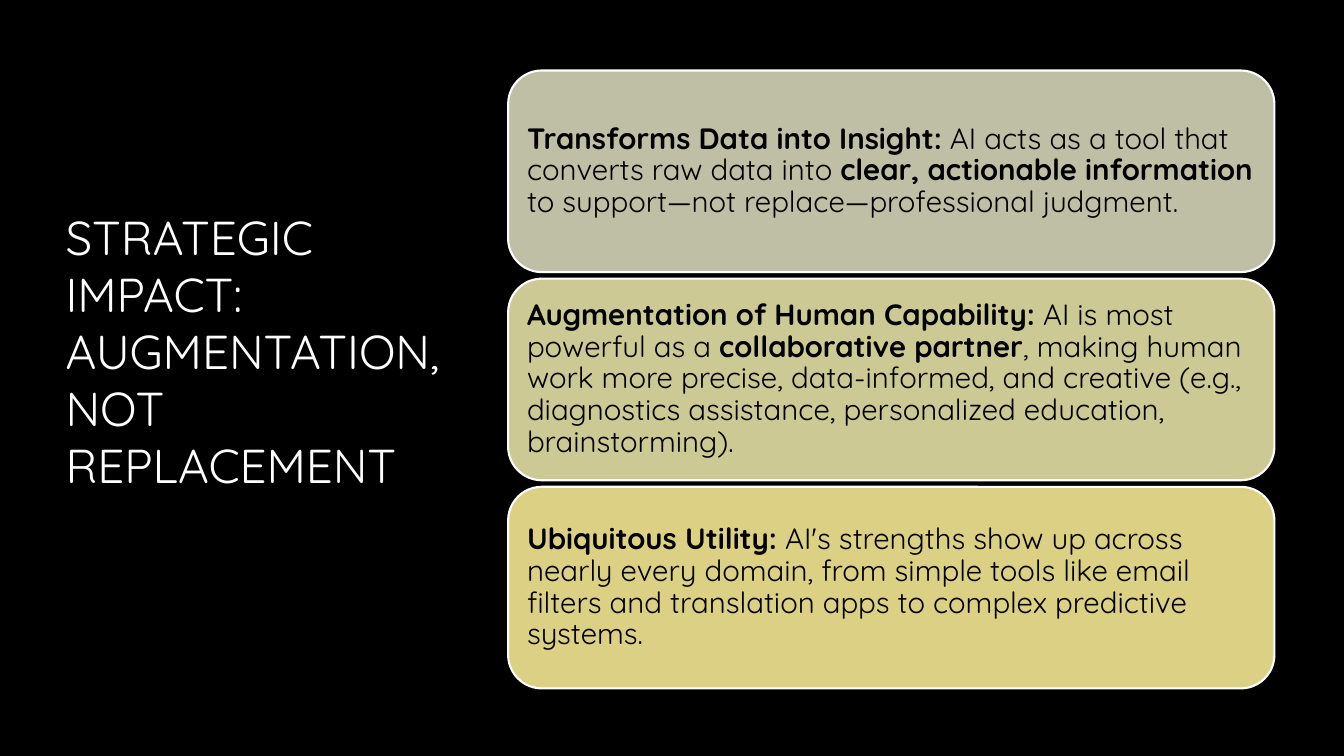
"""Build the slide on AI as augmentation rather than replacement."""
from pptx import Presentation
from pptx.dml.color import RGBColor
from pptx.enum.shapes import MSO_SHAPE
from pptx.enum.text import MSO_ANCHOR, MSO_AUTO_SIZE, PP_ALIGN
from pptx.util import Inches, Pt

FONT = "Quicksand"
COLORS = {
    "background": "000000",
    "title": "FFFFFF",
    "outline": "FFFFFF",
    "body": "000000",
    "insight": "BFBFA5",
    "capability": "CDC995",
    "utility": "DCD084",
}
TITLE = "STRATEGIC IMPACT: AUGMENTATION, NOT REPLACEMENT"
CARDS = [
    ("insight", [
        ("Transforms Data into Insight:", True),
        (" AI acts as a tool that converts raw data into ", False),
        ("clear, actionable information", True),
        (" to support—not replace—professional judgment.", False),
    ]),
    ("capability", [
        ("Augmentation of Human Capability:", True),
        (" AI is most powerful as a ", False),
        ("collaborative partner", True),
        (", making human work more precise, data-informed, and creative "
         "(e.g., diagnostics assistance, personalized education, "
         "brainstorming).", False),
    ]),
    ("utility", [
        ("Ubiquitous Utility:", True),
        (" AI's strengths show up across nearly every domain, from simple "
         "tools like email filters and translation apps to complex "
         "predictive systems.", False),
    ]),
]
CARD_LEFT, CARD_TOP, CARD_WIDTH, CARD_HEIGHT = 5.04, 0.7, 7.6, 2
CARD_GAP = 0.065


def apply_format(target, values):
    """Set each attribute of target from a dict."""
    for name, value in values.items():
        setattr(target, name, value)


def color(name):
    """Return the named colour."""
    return RGBColor.from_string(COLORS[name])


def format_frame(frame, inset, bottom):
    """Give a text frame wrapping, middle anchoring and insets."""
    apply_format(frame, {
        "word_wrap": True,
        "auto_size": MSO_AUTO_SIZE.NONE,
        "vertical_anchor": MSO_ANCHOR.MIDDLE,
        "margin_left": Inches(inset),
        "margin_right": Inches(inset),
        "margin_top": Inches(inset),
        "margin_bottom": Inches(bottom),
    })


def add_words(paragraph, words, size, color_name, bold=False):
    """Add one formatted run to a paragraph."""
    run = paragraph.add_run()
    run.text = words
    apply_format(run.font, {"name": FONT, "size": Pt(size), "bold": bold})
    run.font.color.rgb = color(color_name)


def place_title(slide):
    """Move, fill and format the title placeholder."""
    title = slide.shapes.title
    apply_format(title, {
        "left": Inches(0.55), "top": Inches(0.6),
        "width": Inches(3.94), "height": Inches(6.33),
    })
    format_frame(title.text_frame, 0.1, 0.67)
    heading = title.text_frame.paragraphs[0]
    apply_format(heading, {"alignment": PP_ALIGN.LEFT, "line_spacing": 1.0})
    add_words(heading, TITLE, 34, "title")


def add_card(slide, top, fill_name, phrases):
    """Add a rounded card holding one statement."""
    card = slide.shapes.add_shape(
        MSO_SHAPE.ROUNDED_RECTANGLE, Inches(CARD_LEFT), Inches(top),
        Inches(CARD_WIDTH), Inches(CARD_HEIGHT))
    card.shadow.inherit = False
    card.fill.solid()
    card.fill.fore_color.rgb = color(fill_name)
    card.line.color.rgb = color("outline")
    card.line.width = Pt(1.5)
    format_frame(card.text_frame, 0.09, 0.09)
    statement = card.text_frame.paragraphs[0]
    apply_format(statement, {"alignment": PP_ALIGN.LEFT, "line_spacing": 0.9})
    for words, bold in phrases:
        add_words(statement, words, 21, "body", bold)


def main():
    """Build and save the slide."""
    deck = Presentation()
    apply_format(deck, {
        "slide_width": Inches(13.33), "slide_height": Inches(7.5),
    })
    slide = deck.slides.add_slide(deck.slide_layouts.get_by_name("Title Only"))
    slide.background.fill.solid()
    slide.background.fill.fore_color.rgb = color("background")
    place_title(slide)
    for row, (fill_name, phrases) in enumerate(CARDS):
        top = CARD_TOP + row * (CARD_HEIGHT + CARD_GAP)
        add_card(slide, top, fill_name, phrases)
    deck.save("out.pptx")


if __name__ == "__main__":
    main()
